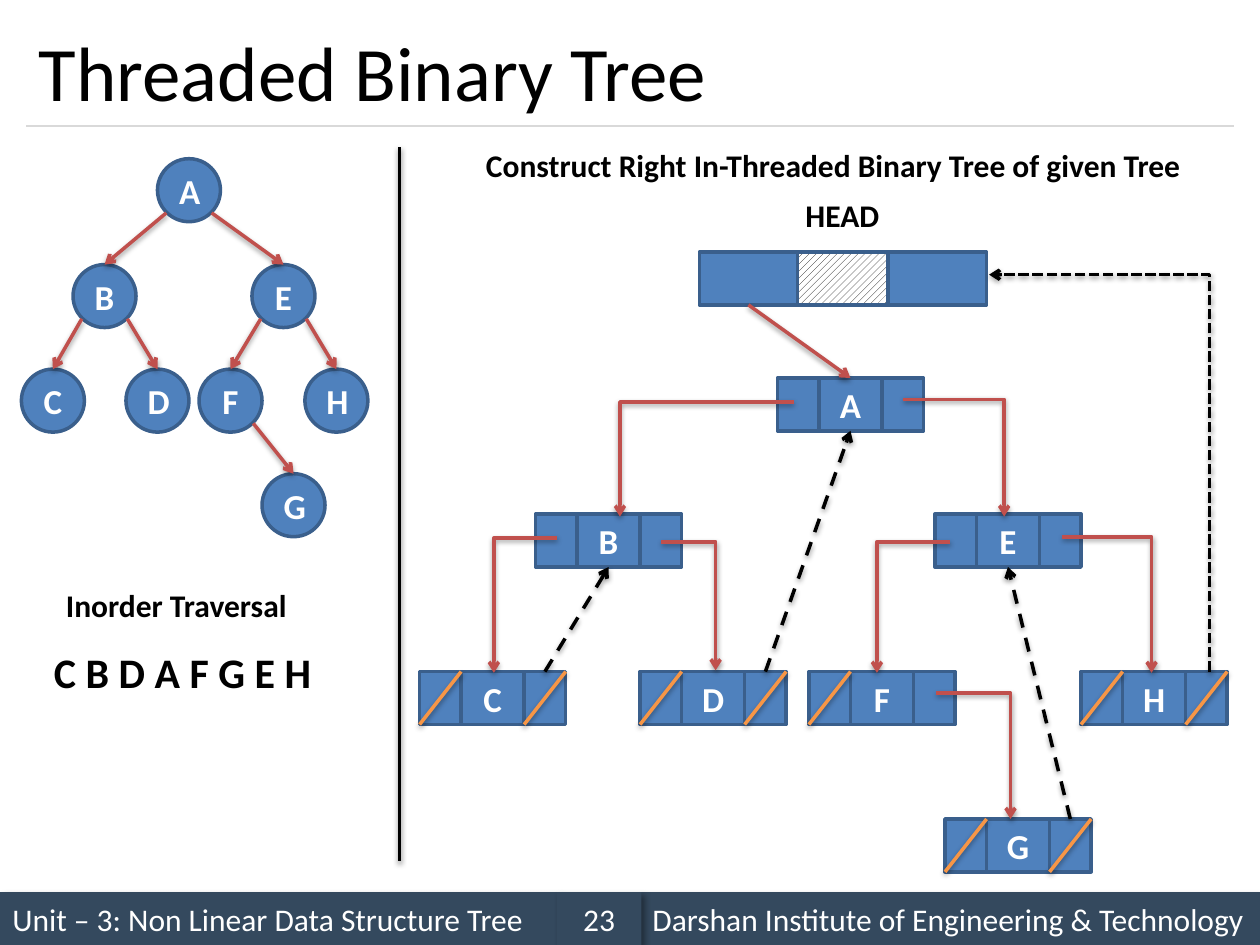
"""Build the slide on right in-threaded binary trees."""
from dataclasses import dataclass

from lxml import etree
from pptx import Presentation
from pptx import util as u
from pptx.dml.color import RGBColor
from pptx.enum import dml, shapes, text
from pptx.oxml.ns import qn

MID, LEFT = text.PP_ALIGN.CENTER, text.PP_ALIGN.LEFT
RECT, OVAL = shapes.MSO_SHAPE.RECTANGLE, shapes.MSO_SHAPE.OVAL
DASH, DOTS = dml.MSO_LINE.DASH, dml.MSO_LINE.SQUARE_DOT


@dataclass(frozen=True)
class Theme:
    """Colours, type sizes and shadows."""
    font: str = "Calibri"
    black: str = "000000"
    white: str = "FFFFFF"
    node: str = "4F81BD"
    edge: str = "3A5F8C"
    link: str = "C0504D"
    null: str = "F79646"
    bar: str = "34495E"
    rule: str = "D9D9D9"
    hatch: str = "0D0D0D"
    title: int = 44
    order: int = 24
    name: int = 20
    body: int = 18
    line: float = 2
    thin: float = 0.75
    soft: tuple = (38, 3.1, 1.6, 90)
    drop: tuple = (40, 4, 3, 45)


def rgb(hue):
    """Return a colour from its hex text."""
    return RGBColor.from_string(hue)


class Board:
    """Draws styled elements on one slide."""

    def __init__(self, slide, theme):
        self.slide, self.theme = slide, theme
        self.pool = slide.shapes

    def letter(self, shape, words, size, hue, bold=True, align=MID):
        """Fill a shape with one styled line of text."""
        frame = shape.text_frame
        frame.text = words
        frame.vertical_anchor = text.MSO_ANCHOR.MIDDLE
        para = frame.paragraphs[0]
        para.alignment = align
        font = para.runs[0].font
        font.name, font.size, font.bold = self.theme.font, u.Pt(size), bold
        font.color.rgb = rgb(hue)

    def label(self, words, box, size, bold=True, align=MID, wrap=False):
        """Add a text box."""
        shape = self.pool.add_textbox(*map(u.Inches, box))
        shape.text_frame.word_wrap = wrap
        self.letter(shape, words, size, self.theme.black, bold, align)

    def shade(self, shape, cast):
        """Give a shape an outer shadow, or none."""
        part = etree.SubElement(shape.element.spPr, qn("a:effectLst"))
        if cast:
            alpha, blur, dist, turn = cast
            outer = etree.SubElement(
                part, qn("a:outerShdw"), blurRad=str(u.Pt(blur)),
                dist=str(u.Pt(dist)), dir=str(turn * 60000), rotWithShape="0")
            tint = etree.SubElement(outer, qn("a:srgbClr"), val=self.theme.black)
            etree.SubElement(tint, qn("a:alpha"), val=str(alpha * 1000))

    def stroke(self, shape, hue, dash=None, arrow=False, thin=False):
        """Style a line, its arrowhead and its shadow."""
        line = shape.line
        line.color.rgb = rgb(hue)
        line.width = u.Pt(self.theme.thin if thin else self.theme.line)
        if dash:
            line.dash_style = dash
        if arrow:
            pen = shape.element.spPr.find(qn("a:ln"))
            etree.SubElement(pen, qn("a:tailEnd"), type="arrow")
        self.shade(shape, None if thin else self.theme.soft)

    def block(self, box, kind=RECT, words="", pool=None, hatch=False):
        """Add a node or a cell of a node."""
        theme = self.theme
        shape = (pool or self.pool).add_shape(kind, *map(u.Inches, box))
        shape.shadow.inherit = False
        fill = shape.fill
        if hatch:
            fill.patterned()
            fill.pattern = dml.MSO_PATTERN.WIDE_UPWARD_DIAGONAL
            fill.fore_color.rgb, fill.back_color.rgb = rgb(theme.hatch), rgb(theme.white)
        else:
            fill.solid()
            fill.fore_color.rgb = rgb(theme.node)
        shape.line.color.rgb = rgb(theme.edge)
        shape.line.width = u.Pt(theme.line)
        if words:
            self.letter(shape, words, theme.name, theme.white)
        return shape

    def line(self, start, end, hue, **style):
        """Add a straight line."""
        shape = self.pool.add_connector(
            shapes.MSO_CONNECTOR.STRAIGHT, *map(u.Inches, start + end))
        self.stroke(shape, hue, **style)
        return shape

    def join(self, first, site, last, goal, hue, dash=None):
        """Join the sides of two cells with an arrow."""
        shape = self.line((0, 0), (1, 1), hue, dash=dash, arrow=True)
        shape.begin_connect(first, site)
        shape.end_connect(last, goal)

    def elbow(self, points, hue, dash=None):
        """Add a bent arrow."""
        start, *rest = [tuple(map(u.Inches, spot)) for spot in points]
        route = self.pool.build_freeform(*start)
        route.add_line_segments(rest, close=False)
        shape = route.convert_to_shape()
        shape.fill.background()
        self.stroke(shape, hue, dash=dash, arrow=True)

    def record(self, name, left, top, nulls="", side=0.33, core=0.5):
        """Add a three-cell record and strike its null links."""
        tall = 0.42
        pool = self.pool.add_group_shape().shapes
        mid = self.block((left + side, top, core, tall), words=name,
                         pool=pool, hatch=not name)
        spots = {"l": left, "r": left + side + core}
        ends = [self.block((x, top, side, tall), pool=pool) for x in spots.values()]
        for key in nulls:
            x = spots[key]
            self.line((x + side, top), (x, top + tall), self.theme.null)
        return mid, *ends

    def footer(self, words, left, wide, align=LEFT):
        """Add one part of the bottom bar."""
        theme = self.theme
        shape = self.pool.add_shape(RECT, *map(u.Inches, (left, 7.08, wide, 0.42)))
        shape.fill.solid()
        shape.fill.fore_color.rgb = rgb(theme.bar)
        shape.line.fill.background()
        self.shade(shape, theme.drop)
        self.letter(shape, words, theme.body, theme.white, False, align)


def main():
    """Build and save the deck."""
    deck = Presentation()
    deck.slide_width, deck.slide_height = u.Inches(10), u.Inches(7.5)
    theme = Theme()
    board = Board(deck.slides.add_slide(deck.slide_layouts[6]), theme)

    board.footer("Unit – 3: Non Linear Data Structure Tree", 0, 4.42)
    board.footer("Darshan Institute of Engineering & Technology", 5.08, 4.92)
    board.footer("23", 4.42, 0.67, MID)
    board.line((0.21, 1), (9.79, 1), theme.rule, thin=True)
    board.label("Threaded Binary Tree", (0.21, 0.12, 9.58, 0.88),
                theme.title, False, LEFT, True)
    board.line((3.17, 1.17), (3.17, 6.83), theme.black)

    size, reach = 0.5, 0.18
    tree = {"A": (1.25, 1.26), "B": (0.58, 2.1), "E": (2, 2.1), "C": (0.17, 2.93),
            "D": (1, 2.93), "F": (1.58, 2.93), "H": (2.42, 2.93), "G": (2.08, 3.76)}
    balls = {name: board.block((*spot, size, size), OVAL, name)
             for name, spot in tree.items()}
    for top, low in ("AB", "AE", "BC", "BD", "EF", "EH", "FG"):
        x, y = (side + size / 2 for side in tree[top])
        shift = reach if tree[low][0] > tree[top][0] else -reach
        edge = board.line((x + shift, y + reach), tree[low], theme.link, arrow=True)
        edge.end_connect(balls[low], 0)

    board.label("Inorder Traversal", (0.42, 4.6, 1.96, 0.4), theme.body)
    board.label("C B D A F G E H", (0.33, 5.08, 2.26, 0.5), theme.order, align=LEFT)
    board.label("Construct Right In-Threaded Binary Tree of given Tree",
                (3.73, 1.11, 5.77, 0.4), theme.body)
    board.label("HEAD", (6.29, 1.51, 0.79, 0.4), theme.body)

    head = board.record("", 5.55, 2, side=0.78, core=0.72)
    plan = (("A", 6.17, 3, ""), ("B", 4.25, 4.08, ""), ("E", 7.42, 4.08, ""),
            ("C", 3.33, 5.33, "lr"), ("D", 5.08, 5.33, "lr"), ("F", 6.42, 5.33, "l"),
            ("H", 8.58, 5.33, "lr"), ("G", 7.5, 6.5, "lr"))
    cells = {row[0]: board.record(*row) for row in plan}

    for x, y, turn, end in ((6.3, 3.19, 4.92, 4.1), (7.17, 3.17, 7.97, 4.1),
                            (4.42, 4.27, 3.92, 5.34), (5.25, 4.3, 5.68, 5.32),
                            (7.54, 4.3, 6.96, 5.34), (8.43, 4.26, 9.14, 5.34),
                            (7.43, 5.5, 8.02, 6.5)):
        board.elbow(((x, y), (turn, y), (turn, end)), theme.link)
    board.elbow(((9.6, 5.33), (9.6, 2.18), (7.85, 2.18)), theme.black, DOTS)

    board.join(head[1], 2, cells["A"][0], 0, theme.link)
    for low, top in ("CB", "DA", "GE"):
        board.join(cells[low][2], 0, cells[top][0], 2, theme.black, DASH)

    deck.save("out.pptx")


if __name__ == "__main__":
    main()
